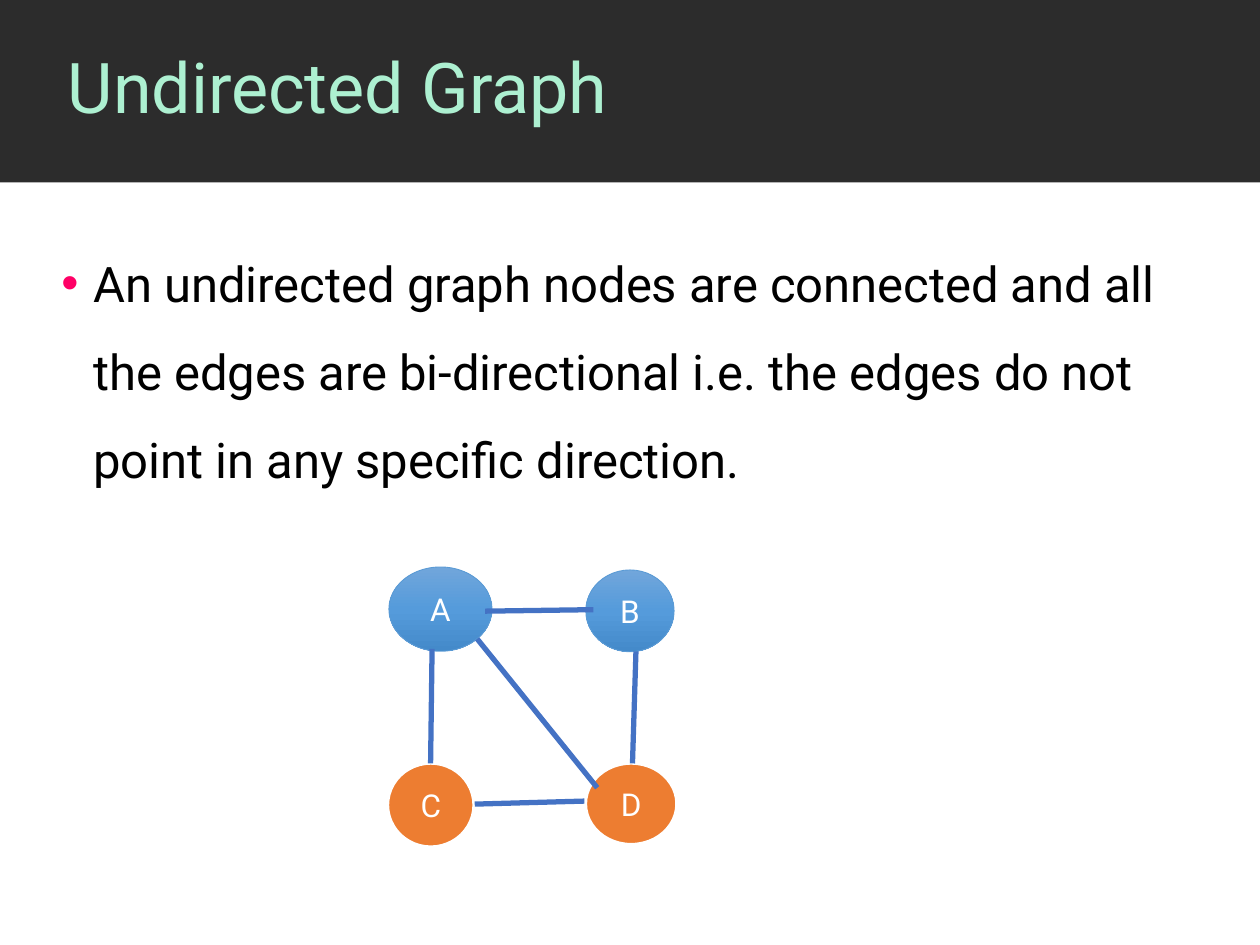
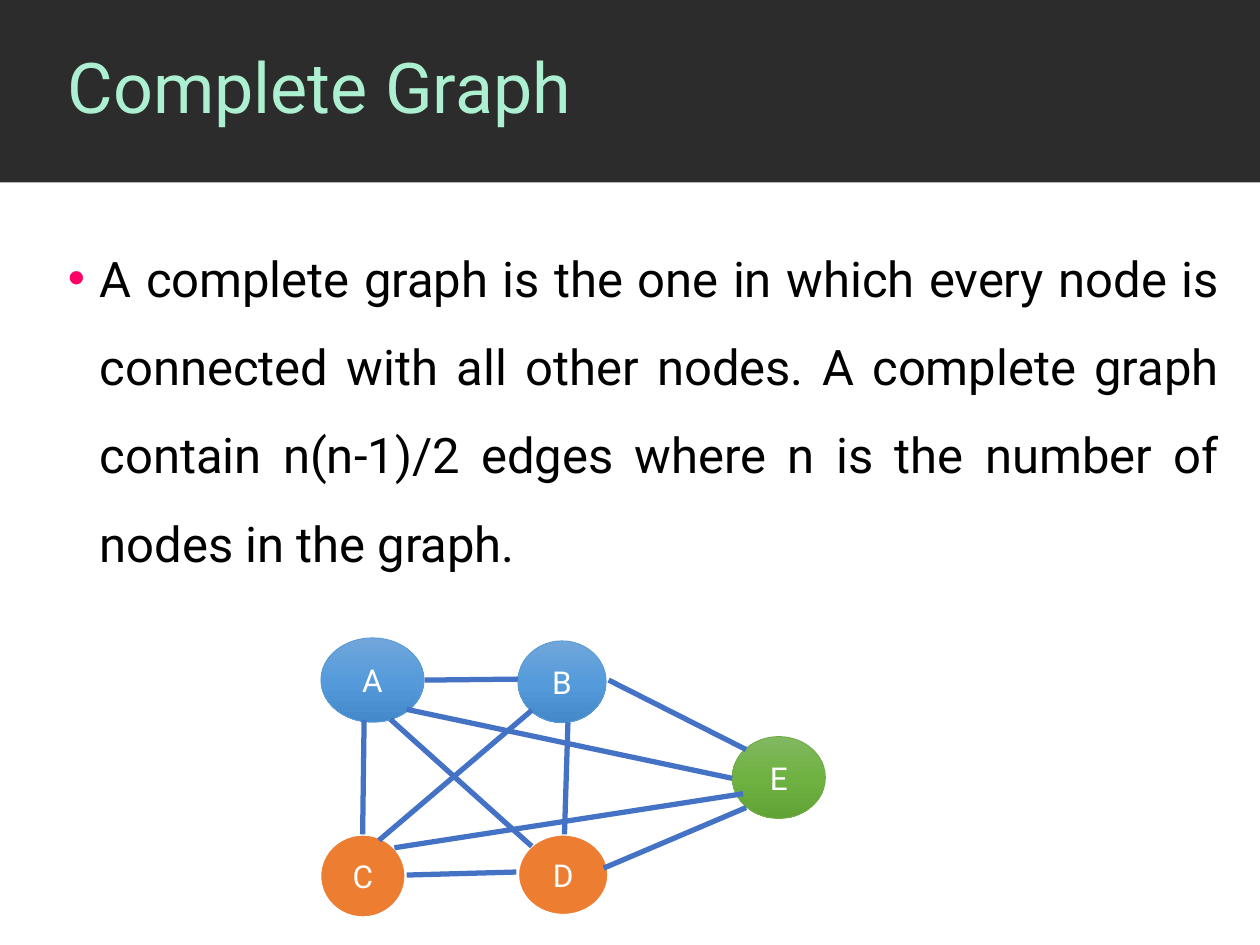
from copy import deepcopy

from lxml import etree
from pptx import Presentation
from pptx.dml.color import RGBColor
from pptx.enum.shapes import MSO_CONNECTOR, MSO_SHAPE
from pptx.enum.text import MSO_ANCHOR, PP_ALIGN
from pptx.oxml.ns import qn
from pptx.util import Cm, Pt

OVAL, RECTANGLE = MSO_SHAPE.OVAL, MSO_SHAPE.RECTANGLE
STRAIGHT = MSO_CONNECTOR.STRAIGHT
MIDDLE = MSO_ANCHOR.MIDDLE
LEFT, CENTER, JUSTIFY = PP_ALIGN.LEFT, PP_ALIGN.CENTER, PP_ALIGN.JUSTIFY

FONT = "Roboto"
BAND, TITLE, BULLET = "2C2C2C", "ADF0D1", "FF0066"
BLACK, WHITE, EDGE = "000000", "FFFFFF", "4472C4"
BLUE = (["71A6DB", "559BDB", "448ACA"], "5B9BD5", 0.5)
GREEN = (["81B861", "6FB242", "62A336"], "70AD47", 0.5)
ORANGE = (["ED7D31"], WHITE, 1.5)

SQUARE_NODES = {
    "A": (0.02, 0, 2.08, 1.7, BLUE),
    "B": (3.99, 0.06, 1.78, 1.65, BLUE),
    "C": (0, 3.96, 1.73, 1.68, ORANGE),
    "D": (3.99, 3.96, 1.83, 1.63, ORANGE),
}
SQUARE_EDGES = [
    (0.89, 1.65, 0.86, 3.96),
    (5, 1.7, 4.93, 3.96),
    (3.96, 4.72, 1.75, 4.78),
]

PAGES = [
    {
        "title": "Undirected Graph",
        "text": "An undirected graph nodes are connected and all the edges are "
                "bi-directional i.e. the edges do not point in any specific direction.",
        "align": LEFT,
        "text_area": (0.99, 4.39, 23.7, 6.88),
        "origin": (7.82, 11.43),
        "nodes": SQUARE_NODES,
        "edges": SQUARE_EDGES + [
            (4.22, 4.45, 1.8, 1.45),
            (4.14, 0.86, 1.96, 0.89),
        ],
    },
    {
        "title": "Complete Graph",
        "text": "A complete graph is the one in which every node is connected with "
                "all other nodes. A complete graph contain n(n-1)/2 edges where n is "
                "the number of nodes in the graph.",
        "align": JUSTIFY,
        "text_area": (1.12, 4.29, 23.7, 14.22),
        "origin": (6.45, 12.86),
        "nodes": SQUARE_NODES | {"E": (8.31, 1.99, 1.88, 1.65, GREEN)},
        "edges": SQUARE_EDGES + [
            (3.99, 0.83, 2.11, 0.85),
            (5.82, 0.85, 8.59, 2.25),
            (8.59, 3.42, 5.72, 4.64),
            (1.75, 1.44, 8.31, 2.83),
            (8.53, 3.14, 1.5, 4.23),
            (1.42, 1.64, 4.27, 4.2),
            (1.19, 4.08, 4.27, 1.46),
        ],
    },
]


def color(value):
    return RGBColor.from_string(value)


def write(box, text, size, hue, align=LEFT):
    box.text_frame.word_wrap = True
    para = box.text_frame.paragraphs[0]
    para.text = text
    para.alignment = align
    para.font.name = FONT
    para.font.size = Pt(size)
    para.font.color.rgb = color(hue)
    return para


def add_bullet(para):
    props = para._p.get_or_add_pPr()
    props.set("marL", str(Cm(0.64)))
    props.set("indent", str(-Cm(0.64)))
    tint = etree.Element(qn("a:buClr"))
    etree.SubElement(tint, qn("a:srgbClr"), val=BULLET)
    font = etree.Element(qn("a:buFont"), typeface="Arial")
    mark = etree.Element(qn("a:buChar"), char="•")
    default = props.find(qn("a:defRPr"))
    for item in (tint, font, mark):
        if default is None:
            props.append(item)
        else:
            default.addprevious(item)


def add_heading(page, text):
    band = page.shapes.add_shape(RECTANGLE, 0, 0, Cm(25.4), Cm(3.68))
    band.shadow.inherit = False
    band.fill.solid()
    band.fill.fore_color.rgb = color(BAND)
    band.line.fill.background()
    box = page.shapes.add_textbox(Cm(1.12), 0, Cm(24.28), Cm(3.66))
    box.text_frame.vertical_anchor = MIDDLE
    write(box, text, 40, TITLE).line_spacing = 0.9


def add_body(page, text, align, area):
    box = page.shapes.add_textbox(*map(Cm, area))
    para = write(box, text, 28, BLACK, align)
    para.line_spacing = 1.5
    add_bullet(para)


def paint(node, hues):
    if len(hues) == 1:
        node.fill.solid()
        node.fill.fore_color.rgb = color(hues[0])
        return
    node.fill.gradient()
    node.fill.gradient_angle = 270
    first = node._element.spPr.find(".//" + qn("a:gs"))
    first.addnext(deepcopy(first))
    for index, (stop, hue) in enumerate(zip(node.fill.gradient_stops, hues)):
        stop.position = index / (len(hues) - 1)
        stop.color.rgb = color(hue)


def add_node(page, origin, name, place):
    x, y, width, height, (hues, outline, weight) = place
    node = page.shapes.add_shape(
        OVAL, Cm(origin[0] + x), Cm(origin[1] + y), Cm(width), Cm(height))
    node.shadow.inherit = False
    paint(node, hues)
    node.line.color.rgb = color(outline)
    node.line.width = Pt(weight)
    node.text_frame.vertical_anchor = MIDDLE
    write(node, name, 18, WHITE, CENTER)


def add_edge(page, origin, ends):
    points = [Cm(origin[i % 2] + value) for i, value in enumerate(ends)]
    edge = page.shapes.add_connector(STRAIGHT, *points)
    edge.line.color.rgb = color(EDGE)
    edge.line.width = Pt(3)
    etree.SubElement(edge._element.spPr, qn("a:effectLst"))


def main():
    deck = Presentation()
    deck.slide_width, deck.slide_height = Cm(25.4), Cm(19.05)
    for content in PAGES:
        page = deck.slides.add_slide(deck.slide_layouts[6])
        add_heading(page, content["title"])
        add_body(page, content["text"], content["align"], content["text_area"])
        for name, place in content["nodes"].items():
            add_node(page, content["origin"], name, place)
        for ends in content["edges"]:
            add_edge(page, content["origin"], ends)
    deck.save("out.pptx")


if __name__ == "__main__":
    main()
